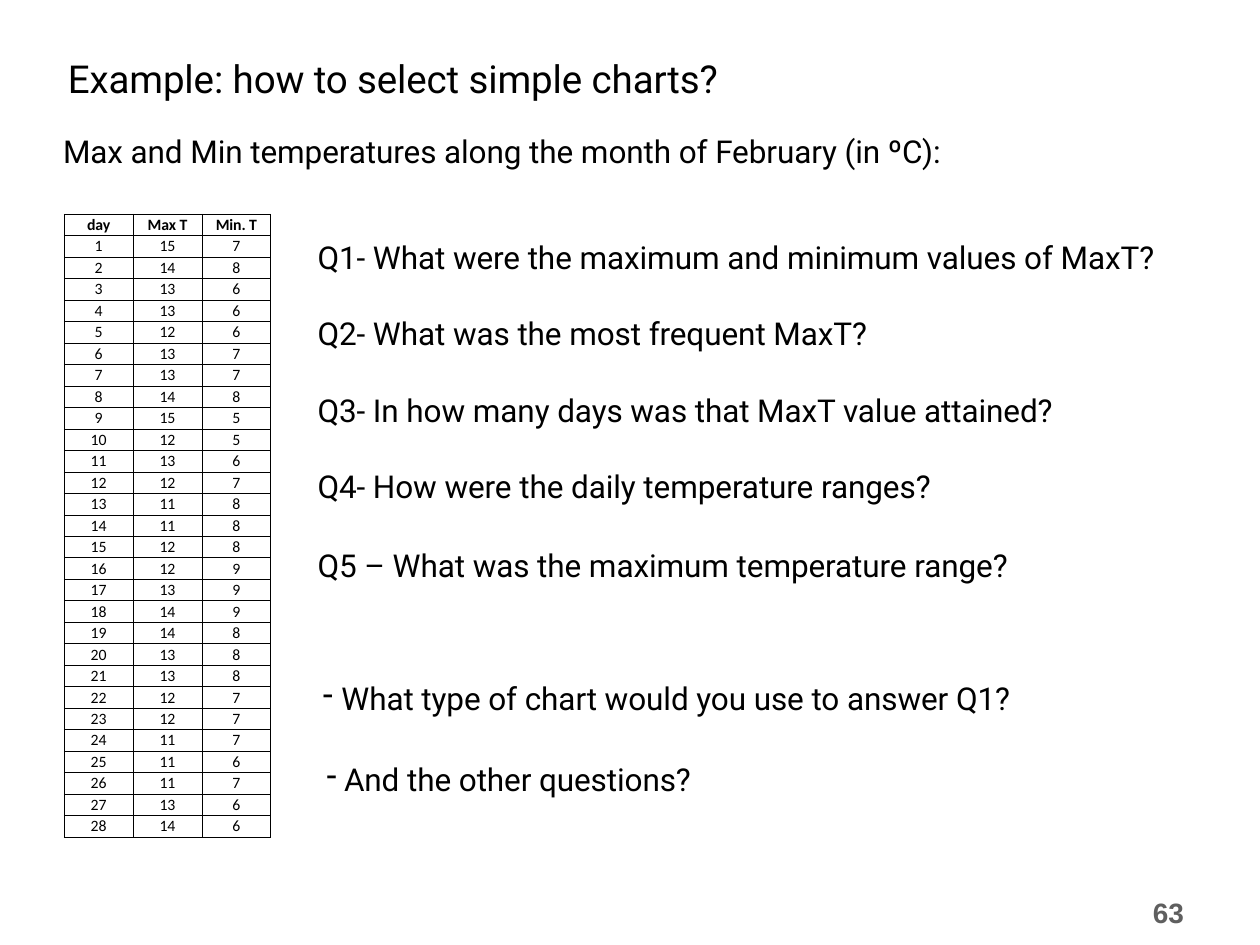
from dataclasses import dataclass

from lxml import etree
from pptx import Presentation
from pptx.dml.color import RGBColor
from pptx.enum.text import PP_ALIGN
from pptx.oxml.ns import qn
from pptx.util import Inches, Pt

CENTER = PP_ALIGN.CENTER
WIDTH, HEIGHT = 10, 7.5


@dataclass(frozen=True)
class Theme:
    ink: str = "000000"
    grey: str = "5F5F5F"
    text_font: str = "Roboto"
    table_font: str = "Calibri"
    number_font: str = "Arial"
    title: float = 22
    body: float = 18
    number: float = 16
    cell: float = 9
    rule: float = 0.5
    tracking: str = "-5"


THEME = Theme()

HEADINGS = ["day", "Max T", "Min. T"]
MAX_T = [15, 14, 13, 13, 12, 13, 13, 14, 15, 12, 13, 12, 11, 11,
         12, 12, 13, 14, 14, 13, 13, 12, 12, 11, 11, 11, 13, 14]
MIN_T = [7, 8, 6, 6, 6, 7, 7, 8, 5, 5, 6, 7, 8, 8,
         8, 9, 9, 9, 8, 8, 8, 7, 7, 7, 6, 7, 6, 6]

# text, left margin (in), hanging dash (in), space before (pt)
BODY = [
    ("Max and Min temperatures along the month of February (in ºC):", 0.01, 0, 0),
    ("Q1- What were the maximum and minimum values of MaxT?", 2.03, 0, 38.9),
    ("Q2- What was the most frequent MaxT?", 2.03, 0, 22),
    ("Q3- In how many days was that MaxT value attained?", 2.03, 0, 22),
    ("Q4- How were the daily temperature ranges?", 2.03, 0, 22),
    ("Q5 – What was the maximum temperature range?", 2.03, 0, 23.5),
    ("What type of chart would you use to answer Q1?", 2.22, 0.15, 54.3),
    ("And the other questions?", 2.24, 0.14, 24.6),
]


def add_run(p, text, font, size, color=THEME.ink, bold=False):
    r = p.add_run()
    r.text = text
    r.font.name, r.font.size, r.font.bold = font, Pt(size), bold
    r.font.color.rgb = RGBColor.from_string(color)
    r.font._element.set("spc", THEME.tracking)


def indent(p, left, hanging=0):
    """Set the left margin, with a hanging dash when asked for."""
    pPr = p._p.get_or_add_pPr()
    pPr.set("marL", str(Inches(left)))
    pPr.set("indent", str(-Inches(hanging)))
    if hanging:
        etree.SubElement(pPr, qn("a:buChar")).set("char", "-")


def add_box(slide, x, y, w, h, top_inset=0.0):
    """Add a text box placed by shares of the slide's size."""
    box = slide.shapes.add_textbox(Inches(x * WIDTH), Inches(y * HEIGHT),
                                   Inches(w * WIDTH), Inches(h * HEIGHT))
    tf = box.text_frame
    tf.word_wrap = True
    tf.margin_left = tf.margin_right = tf.margin_bottom = 0
    tf.margin_top = Inches(top_inset)
    return tf


def add_title(slide, text):
    p = add_box(slide, 0.053, 0.056, 0.6, 0.053, 0.02).paragraphs[0]
    indent(p, 0.01)
    add_run(p, text, THEME.text_font, THEME.title)


def add_body(slide, lines):
    tf = add_box(slide, 0.049, 0.136, 0.885, 0.7, 0.03)
    for i, (text, left, hanging, before) in enumerate(lines):
        p = tf.add_paragraph() if i else tf.paragraphs[0]
        if before:
            p.space_before = Pt(before)
        indent(p, left, hanging)
        add_run(p, text, THEME.text_font, THEME.body)


def add_page_number(slide, text):
    p = add_box(slide, 0.911, 0.949, 0.04, 0.038).paragraphs[0]
    p.line_spacing = Pt(18.6)
    indent(p, 0.04)
    add_run(p, text, THEME.number_font, THEME.number, THEME.grey, True)


def add_borders(cell):
    tcPr = cell._tc.get_or_add_tcPr()
    for side in ("lnL", "lnR", "lnT", "lnB"):
        ln = etree.SubElement(tcPr, qn(f"a:{side}"), w=str(Pt(THEME.rule)))
        fill = etree.SubElement(ln, qn("a:solidFill"))
        etree.SubElement(fill, qn("a:srgbClr"), val=THEME.ink)


def fill_cell(cell, text, bold):
    cell.margin_left = cell.margin_right = cell.margin_bottom = 0
    cell.margin_top = Inches(0.02)
    add_borders(cell)
    cell.fill.background()
    p = cell.text_frame.paragraphs[0]
    p.alignment = CENTER
    p.line_spacing = Pt(10.3)
    add_run(p, text, THEME.table_font, THEME.cell, bold=bold)


def add_temperature_table(slide):
    days = range(1, len(MAX_T) + 1)
    rows = [HEADINGS, *zip(days, MAX_T, MIN_T)]
    table = slide.shapes.add_table(
        len(rows), len(HEADINGS), Inches(0.051 * WIDTH), Inches(1.7),
        Inches(1.64), Inches(4.95)).table
    table.first_row = table.horz_banding = False
    for i, row in enumerate(rows):
        for j, value in enumerate(row):
            fill_cell(table.cell(i, j), str(value), bold=i == 0)


def main():
    prs = Presentation()
    prs.slide_width, prs.slide_height = Inches(WIDTH), Inches(HEIGHT)
    s = prs.slides.add_slide(prs.slide_layouts[6])
    add_page_number(s, "63")
    add_temperature_table(s)
    add_title(s, "Example: how to select simple charts?")
    add_body(s, BODY)
    prs.save("out.pptx")


if __name__ == "__main__":
    main()
